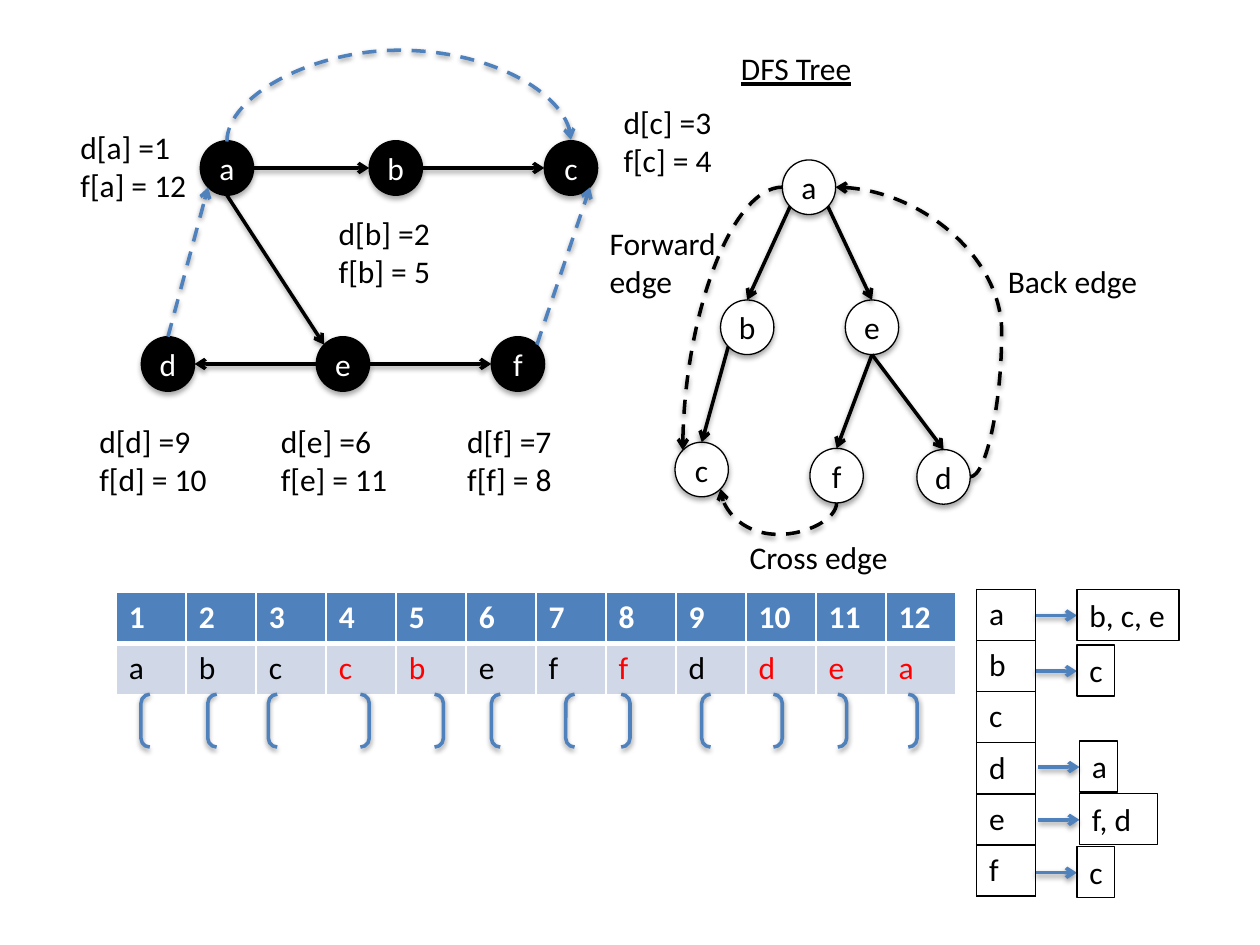
from pptx import Presentation
from pptx.dml.color import RGBColor
from pptx.enum.dml import MSO_LINE
from pptx.enum.shapes import MSO_CONNECTOR, MSO_SHAPE
from pptx.enum.text import MSO_ANCHOR, PP_ALIGN
from pptx.oxml import parse_xml
from pptx.oxml.ns import nsdecls, qn
from pptx.util import Pt

BLACK, WHITE, BLUE, RED, PALE = "000000", "FFFFFF", "4F81BD", "FF0000", "D0D8E8"
NODE_W, NODE_H = 30.5, 31.2
ROW = 29.2

# Points on a node's rim, as parts of its half width and half height
SIDES = {"top": (0, -1), "bottom": (0, 1), "left": (-1, 0), "right": (1, 0),
         "nw": (-.71, -.71), "ne": (.71, -.71), "sw": (-.71, .71), "se": (.71, .71)}

# Node centres
GRAPH = {"a": (129.7, 96), "b": (226.2, 96), "c": (326.3, 96),
         "d": (96, 208), "e": (196, 208), "f": (296, 208)}
TREE = {"a": (462.3, 107), "b": (427, 187), "e": (498.3, 187),
        "c": (401, 268.3), "f": (478.1, 271.8), "d": (539.2, 272.5)}

# Edges: from node, side, to node, side
GRAPH_EDGES = [("a", "right", "b", "left"), ("b", "right", "c", "left"),
               ("e", "left", "d", "right"), ("a", "bottom", "e", "nw"),
               ("e", "right", "f", "left")]
GRAPH_DASHED = [("f", "ne", "c", "se"), ("d", "top", "a", "sw")]
TREE_EDGES = [("a", "sw", "b", "top"), ("b", "sw", "c", "top"),
              ("a", "se", "e", "top"), ("e", "bottom", "f", "top"),
              ("e", "bottom", "d", "top")]

# Labels: left, top, width, text
LABELS = [(38.9, 69.8, 75.6, "d[a] =1\nf[a] = 12"),
          (186.5, 118.8, 67, "d[b] =2\nf[b] = 5"),
          (349.2, 55.4, 65.5, "d[c] =3\nf[c] = 4"),
          (49.7, 237.6, 76.3, "d[d] =9\nf[d] = 10"),
          (153.4, 237.6, 76.3, "d[e] =6\nf[e] = 11"),
          (259.9, 237.6, 63.4, "d[f] =7\nf[f] = 8"),
          (341.3, 124.6, 76.3, "Forward\nedge"),
          (568.8, 146.2, 89.3, "Back edge"),
          (421.2, 303.8, 94.3, "Cross edge")]

# Brackets: left, width
PAIRS = [(80.6, 443.5), (118.8, 134.6), (153.4, 57.6),
         (280.8, 203), (323.3, 36.7), (401, 46)]

# Linked lists: arrow start, top, width, text
LISTS = [(591.8, 336.8, 58.3, "b, c, e"), (591.8, 368.6, 21.6, "c"),
         (593.3, 423.4, 21.6, "a"), (593.3, 453.6, 44.6, "f, d"),
         (591.8, 483.8, 21.6, "c")]


def tint(code):
    return RGBColor.from_string(code)


def write(frame, text, color=BLACK, bold=False, under=False,
          align=PP_ALIGN.LEFT, anchor=None, wrap=None):
    if anchor is not None:
        frame.vertical_anchor = anchor
    if wrap is not None:
        frame.word_wrap = wrap
    for i, part in enumerate(text.split("\n")):
        para = frame.add_paragraph() if i else frame.paragraphs[0]
        para.alignment = align
        run = para.add_run()
        run.text = part
        font = run.font
        font.name, font.size = "Calibri", Pt(18)
        font.bold, font.underline = bold, under
        font.color.rgb = tint(color)


def shade(item, alpha, dist):
    """Give a shape or connector a soft shadow below it."""
    props = item.element.spPr
    for old in props.findall(qn("a:effectLst")):
        props.remove(old)
    props.append(parse_xml(
        f'<a:effectLst {nsdecls("a")}><a:outerShdw blurRad="{Pt(3.1)}" '
        f'dist="{Pt(dist)}" dir="5400000" rotWithShape="0"><a:srgbClr val="{BLACK}">'
        f'<a:alpha val="{alpha * 1000}"/></a:srgbClr></a:outerShdw></a:effectLst>'))


def rim(nodes, name, side):
    x, y = nodes[name]
    dx, dy = SIDES[side]
    return x + dx * NODE_W / 2, y + dy * NODE_H / 2


def link(slide, start, end, color=BLACK, dash=False, kind=MSO_CONNECTOR.STRAIGHT):
    arrow = slide.shapes.add_connector(kind, *(Pt(v) for v in (*start, *end)))
    arrow.line.color.rgb = tint(color)
    arrow.line.width = Pt(2)
    if dash:
        arrow.line.dash_style = MSO_LINE.DASH
    arrow.element.spPr.find(qn("a:ln")).append(
        parse_xml(f'<a:tailEnd {nsdecls("a")} type="arrow"/>'))
    shade(arrow, 38, 1.6)
    return arrow


def bend(slide, start, end, turn, flips, bulge=None, color=BLACK):
    """Dashed curve; bulge is how far its middle lies from the start."""
    arrow = link(slide, start, end, color, True, MSO_CONNECTOR.CURVE)
    wide, high = abs(end[0] - start[0]), abs(end[1] - start[1])
    if turn == 90:
        wide, high = max(high, 1), wide
    arrow.left = Pt((start[0] + end[0] - wide) / 2)
    arrow.top = Pt((start[1] + end[1] - high) / 2)
    arrow.width, arrow.height = Pt(wide), Pt(high)
    frame = arrow.element.spPr.find(qn("a:xfrm"))
    frame.set("rot", str(turn * 60000))
    for axis in "HV":
        frame.set("flip" + axis, "1" if axis in flips else "0")
    geom = arrow.element.spPr.find(qn("a:prstGeom"))
    if bulge is None:
        geom.set("prst", "curvedConnector2")
    else:
        geom.find(qn("a:avLst")).append(parse_xml(
            f'<a:gd {nsdecls("a")} name="adj1" fmla="val {round(bulge / wide * 100000)}"/>'))


def node(slide, name, spot, fill, color):
    x, y = spot
    disc = slide.shapes.add_shape(MSO_SHAPE.OVAL, Pt(x - NODE_W / 2), Pt(y - NODE_H / 2),
                                  Pt(NODE_W), Pt(NODE_H))
    disc.fill.solid()
    disc.fill.fore_color.rgb = tint(fill)
    disc.line.color.rgb = tint(BLACK)
    disc.line.width = Pt(.75)
    shade(disc, 35, 1.8)
    write(disc.text_frame, name, color=color, align=PP_ALIGN.CENTER,
          anchor=MSO_ANCHOR.MIDDLE, wrap=False)


def label(slide, left, top, width, text, boxed=False):
    high = 29.1 + 21.8 * text.count("\n")
    box = slide.shapes.add_textbox(Pt(left), Pt(top), Pt(width), Pt(high))
    if boxed:
        box.line.color.rgb = tint(BLACK)
        box.line.width = Pt(.75)
    write(box.text_frame, text, wrap=boxed)


def pair(slide, left, width):
    mark = slide.shapes.add_shape(MSO_SHAPE.DOUBLE_BRACKET, Pt(left), Pt(396.7),
                                  Pt(width), Pt(30.2))
    mark.fill.background()
    mark.line.color.rgb = tint(BLUE)
    mark.line.width = Pt(2)
    shade(mark, 38, 1.6)


def grid(slide, left, top, rows, cols, width):
    table = slide.shapes.add_table(rows, cols, Pt(left), Pt(top),
                                   Pt(width * cols), Pt(ROW * rows)).table
    table.first_row = table.horz_banding = False
    for col in table.columns:
        col.width = Pt(width)
    for row in table.rows:
        row.height = Pt(ROW)
    return table


def cell(table, row, col, text, fill=None, edge=BLACK, base=1, **form):
    box = table.cell(row, col)
    if fill:
        box.fill.solid()
        box.fill.fore_color.rgb = tint(fill)
    else:
        box.fill.background()
    props = box._tc.get_or_add_tcPr()
    for i, side in enumerate("LRTB"):
        thick = base if side == "B" else 1
        props.insert(i, parse_xml(
            f'<a:ln{side} {nsdecls("a")} w="{Pt(thick)}"><a:solidFill>'
            f'<a:srgbClr val="{edge}"/></a:solidFill></a:ln{side}>'))
    write(box.text_frame, text, **form)


def main():
    deck = Presentation()
    deck.slide_width, deck.slide_height = Pt(720), Pt(540)
    slide = deck.slides.add_slide(deck.slide_layouts[5])

    # Title
    title = slide.shapes.title
    title.left, title.top, title.width, title.height = Pt(416.2), Pt(24.5), Pt(80), Pt(29.1)
    write(title.text_frame, "DFS Tree", under=True, anchor=MSO_ANCHOR.TOP, wrap=False)

    # Graph and tree
    for nodes, fill, color in ((GRAPH, BLACK, WHITE), (TREE, WHITE, BLACK)):
        for name, spot in nodes.items():
            node(slide, name, spot, fill, color)
    for nodes, edges, color, dash in ((GRAPH, GRAPH_EDGES, BLACK, False),
                                      (GRAPH, GRAPH_DASHED, BLUE, True),
                                      (TREE, TREE_EDGES, BLACK, False)):
        for tail, out, head, into in edges:
            link(slide, rim(nodes, tail, out), rim(nodes, head, into), color, dash)

    # Curves: over the graph, then forward, cross and back edges
    bend(slide, rim(GRAPH, "a", "top"), rim(GRAPH, "c", "top"), 90, "HV", 52.6, BLUE)
    bend(slide, rim(TREE, "a", "left"), rim(TREE, "c", "nw"), 180, "V")
    bend(slide, rim(TREE, "f", "bottom"), rim(TREE, "c", "se"), 90, "H", -18)
    bend(slide, rim(TREE, "d", "right"), rim(TREE, "a", "right"), 0, "HV", -18)
    for item in LABELS:
        label(slide, *item)

    # Time line: a letter turns red when it shows up again
    steps = "abccbeffddea"
    times = grid(slide, 66.4, 338.6, 2, len(steps), 40)
    for i, name in enumerate(steps):
        cell(times, 0, i, str(i + 1), BLUE, WHITE, 3, color=WHITE, bold=True)
        cell(times, 1, i, name, PALE, WHITE, color=RED if name in steps[:i] else BLACK)
    for item in PAIRS:
        pair(slide, *item)

    # Adjacency lists
    heads = grid(slide, 558, 336.8, len(GRAPH), 1, 33.8)
    for i, name in enumerate(GRAPH):
        cell(heads, i, 0, name)
    for start, top, width, text in LISTS:
        end = start + 23.6
        link(slide, (start, top + 14.9), (end, top + 14.9), BLUE)
        label(slide, end, top, width, text, boxed=True)

    deck.save("out.pptx")


main()
